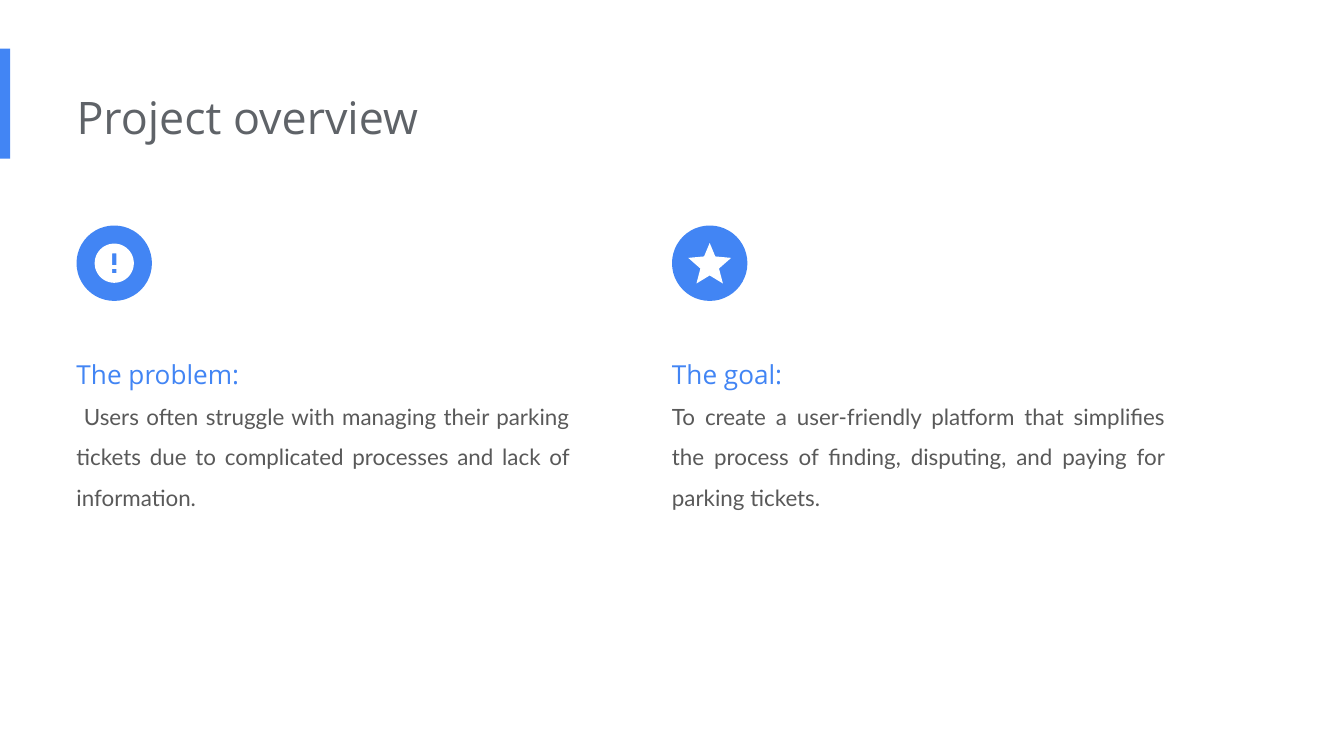
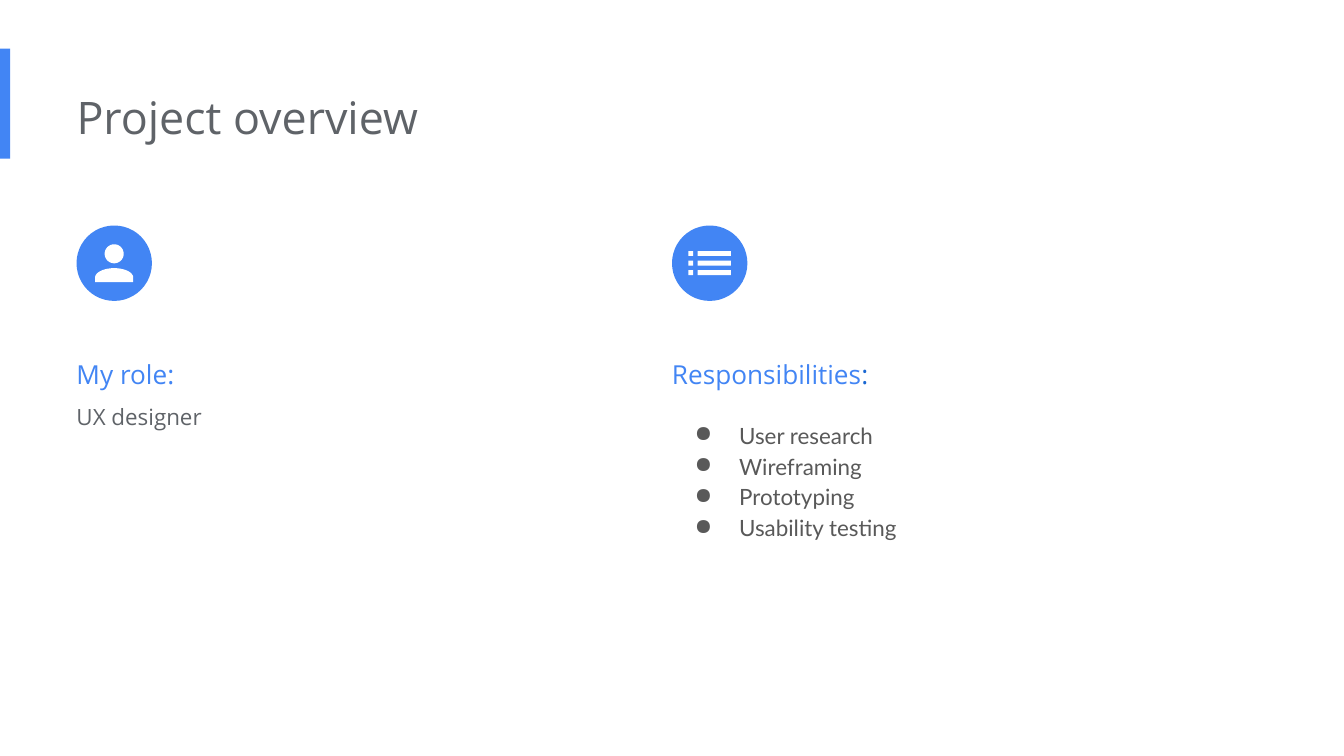
import math

from lxml import etree
from pptx import Presentation
from pptx.dml.color import RGBColor
from pptx.enum import shapes, text
from pptx.oxml import ns
from pptx.util import Pt

BLUE = RGBColor(0x42, 0x85, 0xF4)
DEEP_BLUE = RGBColor(0x19, 0x67, 0xD2)
SLATE = RGBColor(0x5F, 0x63, 0x68)
GRAY = RGBColor(0x59, 0x59, 0x59)
WHITE = RGBColor(0xFF, 0xFF, 0xFF)
HEADING_FONT = "Open Sans"
BODY_FONT = "Lato"
BULLET = "●"

TITLE = "Project overview"
SLIDES = [
    [
        dict(icon="alert", heading=[("The problem:", BLUE)], justified=True,
             body=[" Users often struggle with managing their parking tickets due to "
                   "complicated processes and lack of information."]),
        dict(icon="star", heading=[("The goal:", BLUE)], justified=True,
             body=["To create a user-friendly platform that simplifies the process of "
                   "finding, disputing, and paying for parking tickets."]),
    ],
    [
        dict(icon="person", heading=[("My role:", BLUE)], body=["UX designer"],
             font=HEADING_FONT, color=SLATE),
        dict(icon="list", heading=[("Responsibilities", BLUE), (":", DEEP_BLUE)],
             justified=True, bulleted=True,
             body=["User research", "Wireframing", "Prototyping", "Usability testing"]),
    ],
]

COLUMN_LEFTS = (41, 360)
COLUMN_WIDTH = 271.4
BADGE_TOP, BADGE_SIZE = 120.8, 40.4
BODY_TOP, BODY_HEIGHT = 176.4, 98
INSET = 7.2


def arc(cx, cy, rx, ry, start=0, end=360, steps=48):
    angles = [math.radians(start + (end - start) * i / steps) for i in range(steps + 1)]
    return [(cx + rx * math.cos(a), cy + ry * math.sin(a)) for a in angles]


def box(left, top, right, bottom):
    return [(left, top), (right, top), (right, bottom), (left, bottom)]


STAR_RIGHT = [(0, -10.8), (3, -3.6), (11.5, -2.8), (5, 2.9), (7.1, 10.9), (0, 6.6)]
ICONS = {
    "alert": [arc(0, 0, 10.5, 10.5), box(-1.1, -5.3, 1.1, 1.1), box(-1.1, 3.1, 1.1, 5.3)],
    "star": [STAR_RIGHT + [(-x, y) for x, y in STAR_RIGHT[-2:0:-1]]],
    "person": [arc(0, -5, 5.1, 5.1),
               arc(0, 7.7, 10.2, 5, 180, 360) + [(10.2, 10.2), (-10.2, 10.2)]],
    "list": [box(left, y - 1.3, right, y + 1.3)
             for y in (-5.1, 0, 5.1) for left, right in ((-11.4, -8.8), (-6.4, 11.4))],
}


def paint(shape, color):
    shape.shadow.inherit = False
    shape.fill.solid()
    shape.fill.fore_color.rgb = color
    shape.line.fill.background()


def add_block(slide, kind, color, *bounds):
    paint(slide.shapes.add_shape(kind, *map(Pt, bounds)), color)


def format_run(run, font, size, color):
    run.font.name = font
    run.font.size = Pt(size)
    run.font.color.rgb = color


def set_frame(frame, auto_size):
    frame.word_wrap = True
    frame.auto_size = auto_size
    frame.vertical_anchor = text.MSO_ANCHOR.TOP
    frame.margin_left = 0
    frame.margin_top = frame.margin_right = frame.margin_bottom = Pt(INSET)


def add_bullet(paragraph):
    properties = paragraph._p.get_or_add_pPr()
    properties.set("marL", str(Pt(36)))
    properties.set("indent", str(Pt(-23.8)))
    color = etree.SubElement(properties, ns.qn("a:buClr"))
    etree.SubElement(color, ns.qn("a:srgbClr"), val=str(GRAY))
    etree.SubElement(properties, ns.qn("a:buChar"), char=BULLET)


def add_title(slide):
    title = slide.shapes.title
    title.left, title.top, title.width, title.height = map(Pt, (41, 41, 484.6, 43.9))
    title.text_frame.text = TITLE
    set_frame(title.text_frame, text.MSO_AUTO_SIZE.NONE)
    paragraph = title.text_frame.paragraphs[0]
    paragraph.alignment = text.PP_ALIGN.LEFT
    format_run(paragraph.runs[0], HEADING_FONT, 24, SLATE)


def add_icon(slide, contours, cx, cy):
    placed = [[(Pt(cx + x), Pt(cy + y)) for x, y in contour] for contour in contours]
    builder = slide.shapes.build_freeform(*placed[0][0])
    builder.add_line_segments(placed[0][1:], close=True)
    for contour in placed[1:]:
        builder.move_to(*contour[0])
        builder.add_line_segments(contour[1:], close=True)
    paint(builder.convert_to_shape(), WHITE)


def add_column(slide, column, left):
    add_block(slide, shapes.MSO_SHAPE.OVAL, BLUE, left, BADGE_TOP, BADGE_SIZE, BADGE_SIZE)
    add_icon(slide, ICONS[column["icon"]], left + BADGE_SIZE / 2, BADGE_TOP + BADGE_SIZE / 2)

    frame = slide.shapes.add_textbox(
        *map(Pt, (left, BODY_TOP, COLUMN_WIDTH, BODY_HEIGHT))).text_frame
    set_frame(frame, text.MSO_AUTO_SIZE.SHAPE_TO_FIT_TEXT)
    heading = frame.paragraphs[0]
    heading.line_spacing = 1.5
    for words, color in column["heading"]:
        run = heading.add_run()
        run.text = words
        format_run(run, HEADING_FONT, 14, color)

    bulleted = column.get("bulleted")
    for index, words in enumerate(column["body"]):
        paragraph = frame.add_paragraph()
        paragraph.text = words
        if bulleted:
            add_bullet(paragraph)
            if index == 0:
                paragraph.space_before = Pt(15)
        paragraph.line_spacing = 1.15 if bulleted else 1.5
        if column.get("justified"):
            paragraph.alignment = text.PP_ALIGN.JUSTIFY
        format_run(paragraph.runs[0], column.get("font", BODY_FONT), 12,
                   column.get("color", GRAY))


def main():
    deck = Presentation()
    deck.slide_width, deck.slide_height = Pt(720), Pt(405)
    for columns in SLIDES:
        slide = deck.slides.add_slide(deck.slide_layouts[5])
        add_block(slide, shapes.MSO_SHAPE.RECTANGLE, BLUE, 0, 26, 5.5, 59)
        add_title(slide)
        for column, left in zip(columns, COLUMN_LEFTS):
            add_column(slide, column, left)
    deck.save("out.pptx")


if __name__ == "__main__":
    main()
